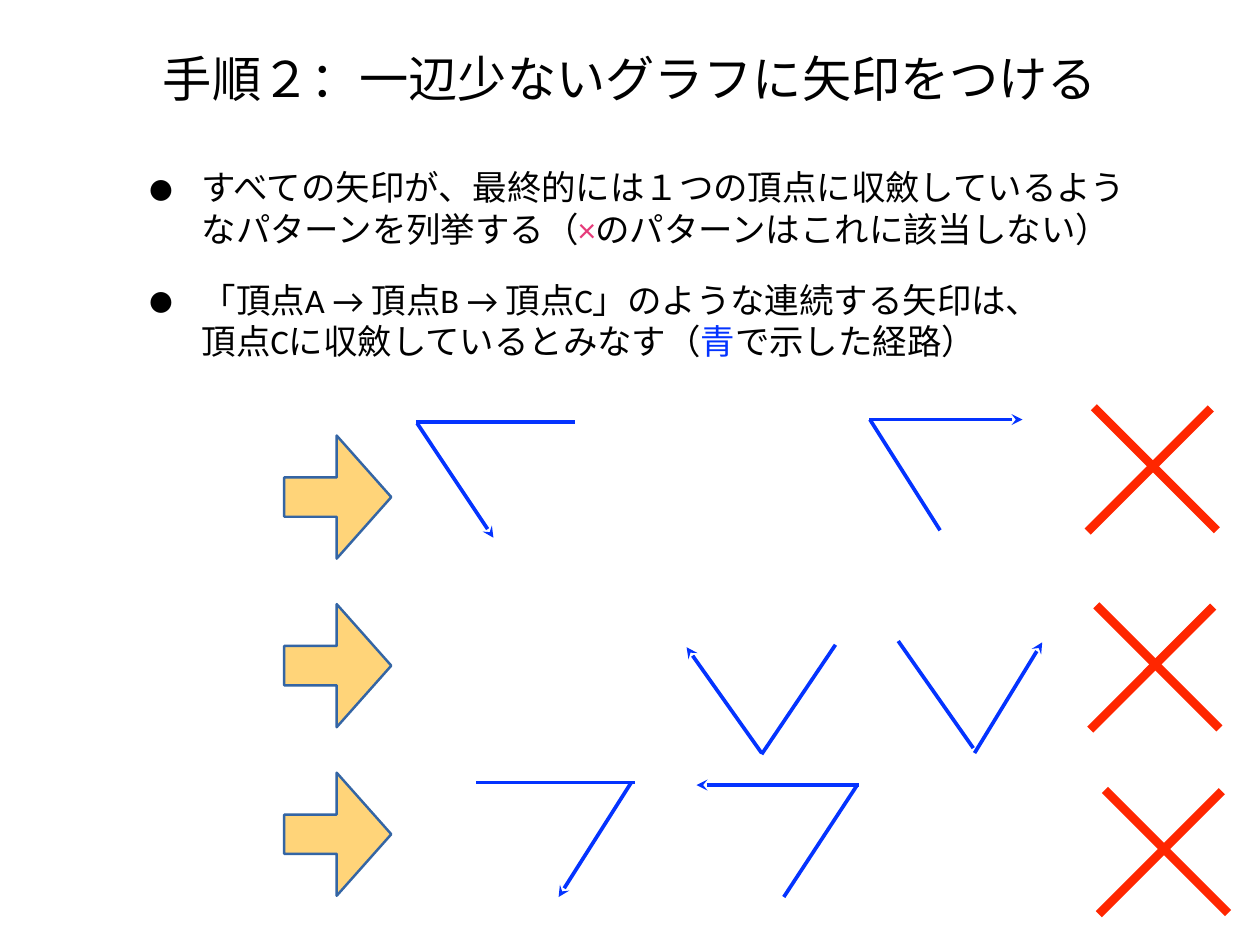
"""Build the slide on adding arrows to graphs with one edge fewer."""
from dataclasses import dataclass

from lxml.etree import SubElement
from pptx import Presentation
from pptx.dml.color import RGBColor
from pptx.enum.shapes import MSO_CONNECTOR, MSO_SHAPE
from pptx.enum.text import MSO_ANCHOR, MSO_AUTO_SIZE, PP_ALIGN
from pptx.oxml.ns import qn
from pptx.util import Pt


@dataclass(frozen=True)
class Theme:
    font: str = "Calibri"
    title_size: int = 40
    body_size: int = 28
    ink: str = "000000"
    pink: str = "E63B7A"
    blue: str = "0433FF"
    red: str = "FF2600"
    arrow_fill: str = "FFD479"
    arrow_line: str = "3465A4"
    path_width: int = 3
    cross_width: int = 7


THEME = Theme()
TITLE = [("手順２：一辺少ないグラフに矢印をつける", THEME.ink)]
BULLETS = [
    [("すべての矢印が、最終的には１つの頂点に収斂しているようなパターンを列挙する（", THEME.ink),
     ("×", THEME.pink),
     ("のパターンはこれに該当しない）", THEME.ink)],
    [("「頂点A → 頂点B → 頂点C」のような連続する矢印は、\n頂点Cに収斂しているとみなす（", THEME.ink),
     ("青", THEME.blue),
     ("で示した経路）", THEME.ink)],
]
TITLE_BOX = (100, 3, 824, 121)
BODY_BOX = (90, 111, 843, 207)
ARROW_BOX = (231, 354, 87, 100)
ARROW_COUNT, ARROW_STEP = 3, 137
CROSSES = [(889, 331), (891, 492), (898, 642)]
CROSS_SIZE = 100
PLAIN_EDGES = [
    ((338, 343), (467, 343)),
    ((707, 341), (764, 431)),
    ((730, 521), (791, 608)),
    ((679, 524), (619, 613)),
    ((696, 639), (637, 729)),
    ((387, 636), (516, 636)),
]
POINTED_EDGES = [
    ((401, 437), (339, 344)),
    ((831, 341), (706, 341)),
    ((847, 522), (792, 612)),
    ((558, 526), (619, 612)),
    ((566, 638), (698, 638)),
    ((454, 729), (513, 636)),
]


def color(value):
    """Turn a hex string into a colour."""
    return RGBColor.from_string(value)


def place(box, bounds):
    """Move a placeholder and set its text frame."""
    box.left, box.top, box.width, box.height = map(Pt, bounds)
    frame = box.text_frame
    frame.word_wrap = True
    frame.auto_size = MSO_AUTO_SIZE.NONE
    frame.vertical_anchor = MSO_ANCHOR.MIDDLE
    frame.margin_left = frame.margin_right = Pt(4)
    frame.margin_top = frame.margin_bottom = Pt(4)
    return frame


def write(para, spans, size):
    """Add coloured runs, with a line break at each newline."""
    para.line_spacing = 1.0
    for text, ink in spans:
        for number, part in enumerate(text.split("\n")):
            if number:
                para.add_line_break()
            span = para.add_run()
            span.text = part
            span.font.name = THEME.font
            span.font.size = Pt(size)
            span.font.color.rgb = color(ink)
            SubElement(span.font._element, qn("a:ea"), typeface=THEME.font)


def add_bullet(para):
    """Give a paragraph its spacing, hanging indent and large bullet."""
    para.space_before = Pt(24)
    para.space_after = Pt(0)
    properties = para._p.get_or_add_pPr()
    properties.set("marL", str(Pt(70)))
    properties.set("indent", str(Pt(-45)))
    SubElement(properties, qn("a:buSzPct"), val="171000")
    SubElement(properties, qn("a:buFont"), typeface=THEME.font)
    SubElement(properties, qn("a:buChar"), char="•")


def draw_line(page, start, end, ink, width, pointed=False):
    """Draw a line, with an arrowhead at its start if pointed."""
    line = page.shapes.add_connector(MSO_CONNECTOR.STRAIGHT, *map(Pt, start + end))
    line.line.color.rgb = color(ink)
    line.line.width = Pt(width)
    properties = line._element.spPr
    if pointed:
        SubElement(properties.find(qn("a:ln")), qn("a:headEnd"), type="stealth")
    SubElement(properties, qn("a:effectLst"))


def draw_arrow(page, row):
    """Draw the block arrow of one row."""
    left, top, width, height = ARROW_BOX
    bounds = (left, top + row * ARROW_STEP, width, height)
    arrow = page.shapes.add_shape(MSO_SHAPE.RIGHT_ARROW, *map(Pt, bounds))
    arrow.adjustments[0], arrow.adjustments[1] = 0.32, 0.51
    arrow.shadow.inherit = False
    arrow.fill.solid()
    arrow.fill.fore_color.rgb = color(THEME.arrow_fill)
    arrow.line.color.rgb = color(THEME.arrow_line)
    arrow.line.width = Pt(2)


def draw_cross(page, left, top):
    """Draw a cross whose rising stroke sits slightly to the left."""
    right, bottom = left + CROSS_SIZE, top + CROSS_SIZE
    strokes = [((left, top), (right, bottom)),
               ((left - 5, bottom + 1), (right - 5, top + 1))]
    for start, end in strokes:
        draw_line(page, start, end, THEME.red, THEME.cross_width)


def main():
    """Build and save the deck."""
    deck = Presentation()
    deck.slide_width, deck.slide_height = Pt(1024), Pt(768)
    page = deck.slides.add_slide(deck.slide_layouts[1])

    heading = place(page.shapes.title, TITLE_BOX).paragraphs[0]
    heading.alignment = PP_ALIGN.CENTER
    write(heading, TITLE, THEME.title_size)

    body = place(page.placeholders[1], BODY_BOX)
    for number, spans in enumerate(BULLETS):
        para = body.add_paragraph() if number else body.paragraphs[0]
        write(para, spans, THEME.body_size)
        add_bullet(para)

    for row in range(ARROW_COUNT):
        draw_arrow(page, row)
    for left, top in CROSSES:
        draw_cross(page, left, top)
    for edges, pointed in ((PLAIN_EDGES, False), (POINTED_EDGES, True)):
        for start, end in edges:
            draw_line(page, start, end, THEME.blue, THEME.path_width, pointed)

    deck.save("out.pptx")


if __name__ == "__main__":
    main()
